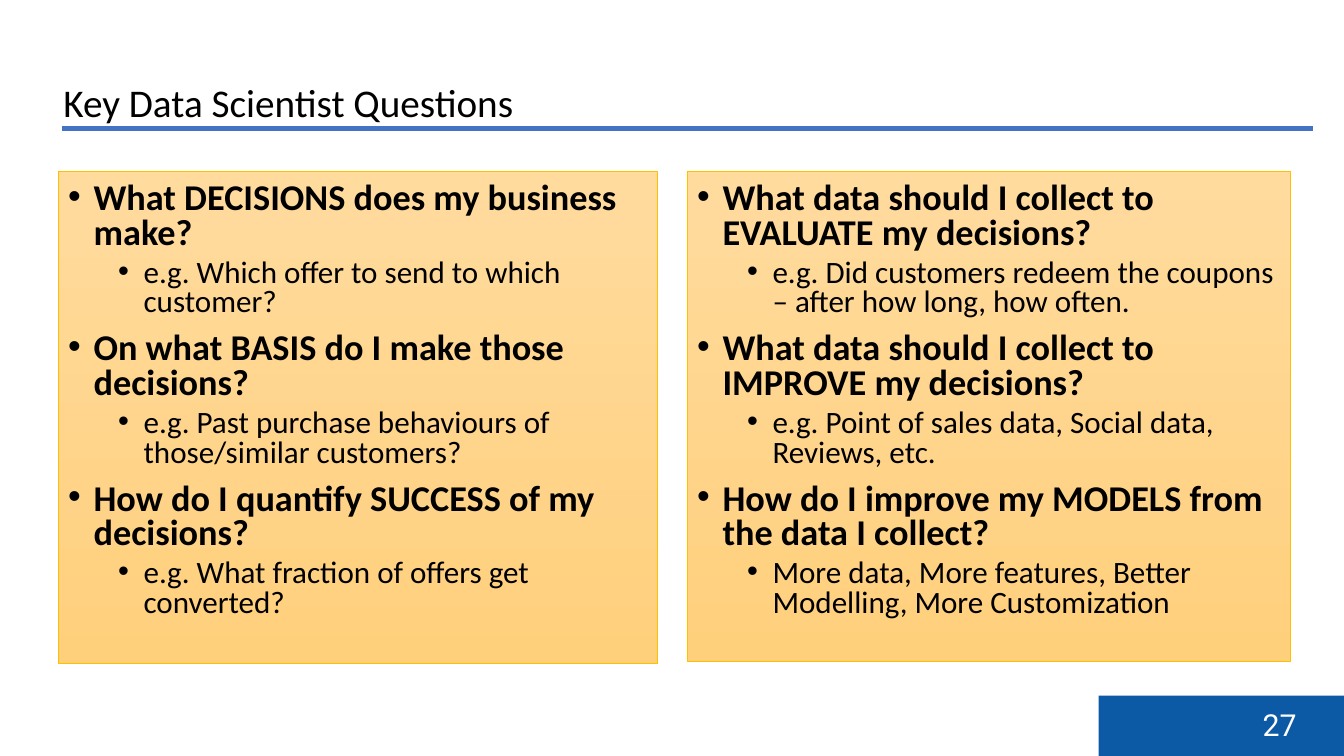
from lxml.etree import SubElement
from pptx import Presentation
from pptx.dml.color import RGBColor
from pptx.enum.shapes import MSO_SHAPE
from pptx.enum.text import MSO_ANCHOR, PP_ALIGN
from pptx.oxml.ns import qn
from pptx.util import Cm, Pt

BLACK = RGBColor(0x00, 0x00, 0x00)
WHITE = RGBColor(0xFF, 0xFF, 0xFF)
RULE_BLUE = RGBColor(0x44, 0x72, 0xC4)
FOOTER_BLUE = RGBColor(0x0C, 0x5A, 0xA5)
PANEL_TOP = RGBColor(0xFF, 0xDB, 0x9E)
PANEL_BOTTOM = RGBColor(0xFF, 0xD0, 0x7C)
PANEL_LINE = RGBColor(0xFF, 0xC0, 0x00)

DECISION_QUESTIONS = [
    ("What DECISIONS does my business make?",
     "e.g. Which offer to send to which customer?"),
    ("On what BASIS do I make those decisions?",
     "e.g. Past purchase behaviours of those/similar customers?"),
    ("How do I quantify SUCCESS of my decisions?",
     "e.g. What fraction of offers get converted?"),
]
DATA_QUESTIONS = [
    ("What data should I collect to EVALUATE my decisions?",
     "e.g. Did customers redeem the coupons – after how long, how often."),
    ("What data should I collect to IMPROVE my decisions?",
     "e.g. Point of sales data, Social data, Reviews, etc."),
    ("How do I improve my MODELS from the data I collect?",
     "More data, More features, Better Modelling, More Customization"),
]


def set_font(paragraph, name, size, color, bold=False):
    font = paragraph.font
    font.name, font.size, font.bold = name, Pt(size), bold
    font.color.rgb = color


def add_rectangle(page, left, top, width, height):
    box = page.shapes.add_shape(
        MSO_SHAPE.RECTANGLE, Cm(left), Cm(top), Cm(width), Cm(height))
    box.shadow.inherit = False
    return box


def add_bar(page, left, top, width, height, color):
    bar = add_rectangle(page, left, top, width, height)
    bar.fill.solid()
    bar.fill.fore_color.rgb = color
    bar.line.fill.background()
    return bar


def add_label(page, left, top, width, height, text, font_name, size, color):
    box = page.shapes.add_textbox(Cm(left), Cm(top), Cm(width), Cm(height))
    paragraph = box.text_frame.paragraphs[0]
    paragraph.text = text
    set_font(paragraph, font_name, size, color)


def add_bullet(paragraph, indent):
    """Hang a round bullet left of the text, which starts at indent."""
    properties = paragraph._p.get_or_add_pPr()
    properties.set("marL", str(Cm(indent)))
    properties.set("indent", str(-Cm(0.64)))
    SubElement(properties, qn("a:buFont"), typeface="Arial")
    SubElement(properties, qn("a:buChar"), char="•")


def add_question_panel(page, left, top, width, height, questions):
    panel = add_rectangle(page, left, top, width, height)
    panel.fill.gradient()
    panel.fill.gradient_angle = 270
    for stop, color in zip(panel.fill.gradient_stops, (PANEL_TOP, PANEL_BOTTOM)):
        stop.color.rgb = color
    panel.line.color.rgb = PANEL_LINE
    panel.line.width = Pt(0.5)

    frame = panel.text_frame
    frame.word_wrap = True
    frame.vertical_anchor = MSO_ANCHOR.TOP
    frame.margin_top = Cm(0.28)
    lines = [(text, level) for pair in questions for level, text in enumerate(pair)]
    for number, (text, level) in enumerate(lines):
        paragraph = frame.add_paragraph() if number else frame.paragraphs[0]
        paragraph.text = text
        paragraph.level = level
        paragraph.alignment = PP_ALIGN.LEFT
        paragraph.line_spacing = 0.8
        if number:
            paragraph.space_before = Pt(5 if level else 10)
        add_bullet(paragraph, 1.9 if level else 0.64)
        set_font(paragraph, "Calibri", 22.2 if level else 25.9, BLACK, bold=level == 0)


def main():
    deck = Presentation()
    deck.slide_width, deck.slide_height = Cm(33.87), Cm(19.05)
    page = deck.slides.add_slide(deck.slide_layouts[6])

    rule = add_bar(page, 1.55, 3.15, 31.55, 0.18, RULE_BLUE)
    rule.line.color.rgb = WHITE
    rule.line.width = Pt(1)
    add_label(page, 1.35, 1.85, 12, 1.45, "Key Data Scientist Questions",
              "Calibri", 28, BLACK)

    add_bar(page, 27.69, 17.53, 6.18, 1.52, FOOTER_BLUE)
    add_label(page, 31.57, 17.68, 1.37, 1.17, "27", "Roboto", 21.6, WHITE)

    add_question_panel(page, 1.47, 4.32, 15.09, 12.4, DECISION_QUESTIONS)
    add_question_panel(page, 17.32, 4.32, 15.21, 12.34, DATA_QUESTIONS)

    deck.save("out.pptx")


if __name__ == "__main__":
    main()
